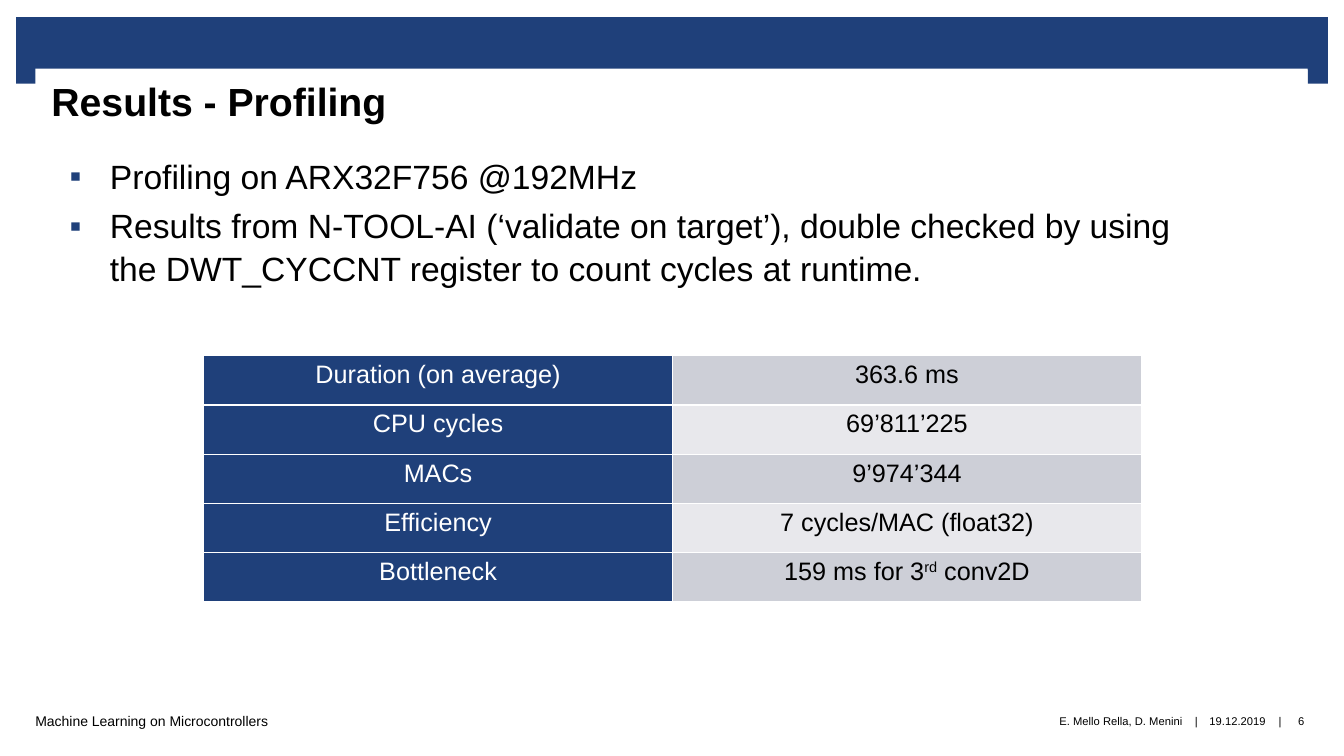
from pptx import Presentation
from pptx.dml.color import RGBColor
from pptx.enum.shapes import MSO_SHAPE
from pptx.enum.text import MSO_ANCHOR, MSO_AUTO_SIZE, PP_ALIGN
from pptx.oxml import parse_xml
from pptx.oxml.ns import nsdecls
from pptx.util import Inches, Pt

THEME = {
    "font": "Arial",
    "blue": "1F407A", "black": "000000", "white": "FFFFFF",
    "bands": ["CDCFD7", "E8E8EC"],
    "title": 28, "body": 24, "table": 18, "footer": 10, "details": 8,
    "line_spacing": 1.06,
}


def add_run(paragraph, text, size, color="black", bold=False):
    run = paragraph.add_run()
    run.text = text
    formats = {"name": THEME["font"], "size": Pt(THEME[size]), "bold": bold}
    for name, value in formats.items():
        setattr(run.font, name, value)
    run.font.color.rgb = RGBColor.from_string(THEME[color])
    return run


def set_frame(shape, box, insets, anchor):
    shape.left, shape.top, shape.width, shape.height = map(Inches, box)
    left, top, right, bottom = map(Inches, insets)
    formats = {"margin_left": left, "margin_top": top, "margin_right": right,
               "margin_bottom": bottom, "vertical_anchor": anchor,
               "word_wrap": True, "auto_size": MSO_AUTO_SIZE.NONE}
    for name, value in formats.items():
        setattr(shape.text_frame, name, value)
    return shape.text_frame


presentation = Presentation()
presentation.slide_width = Inches(13.33)
presentation.slide_height = Inches(7.5)
slide = presentation.slides.add_slide(presentation.slide_layouts[1])
title, body = slide.placeholders

# Header bar with its two end tabs
for box in [(0.16, 0.17, 13.01, 0.52), (0.16, 0.65, 0.2, 0.18), (12.97, 0.65, 0.2, 0.18)]:
    bar = slide.shapes.add_shape(MSO_SHAPE.RECTANGLE, *map(Inches, box))
    bar.shadow.inherit = False
    bar.fill.solid()
    bar.fill.fore_color.rgb = RGBColor.from_string(THEME["blue"])
    bar.line.fill.background()

# Title, in front of the header bar
slide.shapes._spTree.append(title._element)
title_frame = set_frame(title, (0.35, 0.68, 12.62, 0.65), (0.16, 0.06, 0.16, 0), MSO_ANCHOR.TOP)
title.fill.solid()
title.fill.fore_color.rgb = RGBColor.from_string(THEME["white"])
paragraph = title_frame.paragraphs[0]
paragraph.alignment = PP_ALIGN.LEFT
paragraph.line_spacing = THEME["line_spacing"]
add_run(paragraph, "Results - Profiling", "title", bold=True)

# Bullet list
bullets = [
    "Profiling on ARX32F756 @192MHz",
    "Results from N-TOOL-AI (‘validate on target’), double checked by using "
    "the DWT_CYCCNT register to count cycles at runtime.",
]
body_frame = set_frame(body, (0.54, 1.52, 11.38, 1.37), (0.15, 0, 0, 0), MSO_ANCHOR.TOP)
for index, text in enumerate(bullets):
    paragraph = body_frame.add_paragraph() if index else body_frame.paragraphs[0]
    paragraph.space_before = Pt(5)
    paragraph.line_spacing = THEME["line_spacing"]
    properties = paragraph._p.get_or_add_pPr()
    properties.set("marL", str(Inches(0.4)))
    properties.set("indent", str(-Inches(0.4)))
    for xml in (f'<a:buClr {nsdecls("a")}><a:srgbClr val="{THEME["blue"]}"/></a:buClr>',
                f'<a:buFont {nsdecls("a")} typeface="{THEME["font"]}"/>',
                f'<a:buChar {nsdecls("a")} char="▪"/>'):
        properties.append(parse_xml(xml))
    add_run(paragraph, text, "body")

# Profiling table: each value is a list of (text, baseline) pieces
results = [
    ("Duration (on average)", [("363.6 ms", 0)]),
    ("CPU cycles", [("69’811’225", 0)]),
    ("MACs", [("9’974’344", 0)]),
    ("Efficiency", [("7 cycles/MAC (float32)", 0)]),
    ("Bottleneck", [("159 ms for 3", 0), ("rd", 30000), (" conv2D", 0)]),
]
table = slide.shapes.add_table(len(results), 2, Inches(2.02), Inches(3.53),
                               Inches(9.3), Inches(2.44)).table
table.first_row = False
table.horz_banding = False
for row, (label, value) in enumerate(results):
    band = THEME["bands"][row % 2]
    for column, (pieces, fill, color) in enumerate(
            [([(label, 0)], THEME["blue"], "white"), (value, band, "black")]):
        cell = table.cell(row, column)
        cell.fill.solid()
        cell.fill.fore_color.rgb = RGBColor.from_string(fill)
        for position, side in enumerate(["lnL", "lnR", "lnT", "lnB"]):
            cell._tc.get_or_add_tcPr().insert(position, parse_xml(
                f'<a:{side} {nsdecls("a")} w="{Pt(1)}"><a:solidFill>'
                f'<a:srgbClr val="{THEME["white"]}"/></a:solidFill></a:{side}>'))
        paragraph = cell.text_frame.paragraphs[0]
        paragraph.alignment = PP_ALIGN.CENTER
        for text, baseline in pieces:
            run = add_run(paragraph, text, "table", color)
            if baseline:
                run.font._element.set("baseline", str(baseline))

# Footer: text, left, width, alignment, size
footers = [
    ("Machine Learning on Microcontrollers", 0.35, 6.31, PP_ALIGN.LEFT, "footer"),
    ("E. Mello Rella, D. Menini", 6.66, 5.07, PP_ALIGN.RIGHT, "details"),
    ("|", 11.79, 0.15, PP_ALIGN.CENTER, "details"),
    ("19.12.2019", 11.94, 0.67, PP_ALIGN.CENTER, "details"),
    ("|", 12.62, 0.15, PP_ALIGN.CENTER, "details"),
    ("6", 12.71, 0.39, PP_ALIGN.CENTER, "details"),
]
for text, left, width, alignment, size in footers:
    footer = slide.shapes.add_textbox(0, 0, 0, 0)
    frame = set_frame(footer, (left, 6.9, width, 0.5), (0, 0, 0, 0), MSO_ANCHOR.MIDDLE)
    frame.paragraphs[0].alignment = alignment
    add_run(frame.paragraphs[0], text, size)

presentation.save("out.pptx")
